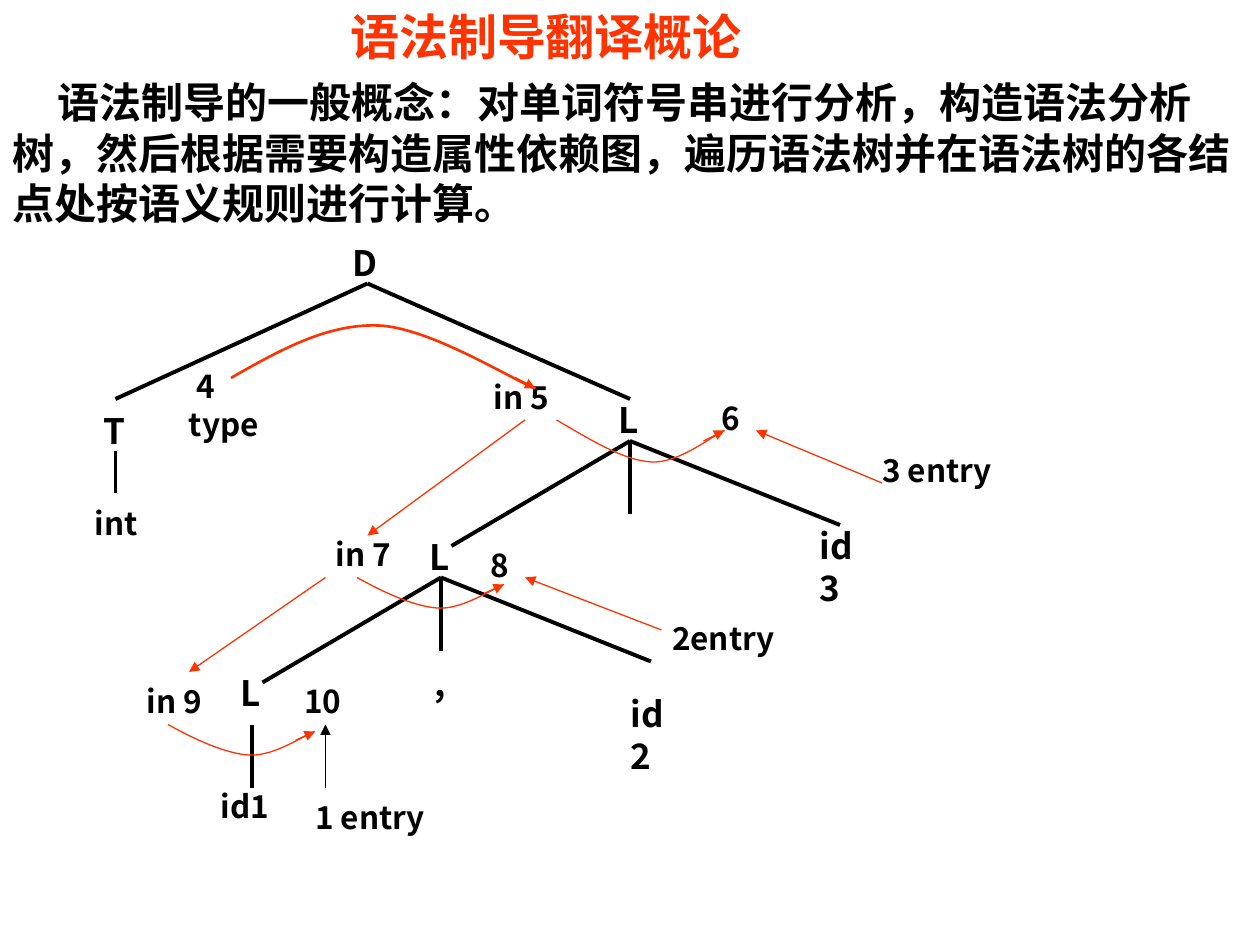
"""Slide on syntax-directed translation: an annotated parse tree with its dependency arrows."""
from lxml.etree import SubElement
from pptx import Presentation
from pptx.dml.color import RGBColor as RGB
from pptx.enum.shapes import MSO_CONNECTOR as LINK
from pptx.enum.text import PP_ALIGN as ALIGN
from pptx.oxml.ns import qn
from pptx.util import Pt

FONT, RED, BLACK = "Noto Sans CJK SC", "FF3300", "000000"


def write(text, x, y, wide, high, size, ink=BLACK, inset=(0, 0)):
    box = slide.shapes.add_textbox(Pt(x), Pt(y), Pt(wide), Pt(high))
    frame = box.text_frame
    frame.word_wrap = True
    frame.margin_left = frame.margin_right = Pt(inset[0])
    frame.margin_top = frame.margin_bottom = Pt(inset[1])
    frame.text = text
    for para in frame.paragraphs:
        font = para.font
        font.name, font.size, font.bold = FONT, Pt(size), True
        font.color.rgb = RGB.from_string(ink)
        SubElement(font._element, qn("a:ea")).set("typeface", FONT)
    return frame.paragraphs[0]


def link(start, end, ink, width, arrow=False):
    line = slide.shapes.add_connector(LINK.STRAIGHT, *map(Pt, start + end))
    line.line.color.rgb = RGB.from_string(ink)
    line.line.width = Pt(width)
    if arrow:
        SubElement(line.line._get_or_add_ln(), qn("a:tailEnd")).set("type", "triangle")
    SubElement(line._element.spPr, qn("a:effectLst"))


deck = Presentation()
deck.slide_width, deck.slide_height = Pt(720), Pt(540)
slide = deck.slides.add_slide(deck.slide_layouts[6])

title = write("语法制导翻译概论", 0, 0, 624, 36, 28, RED, (7.2, 3.6))
title.alignment = ALIGN.CENTER
body = write("语法制导的一般概念：对单词符号串进行分析，构造语法分析树，然后根据需要构造属性依赖图，"
             "遍历语法树并在语法树的各结点处按语义规则进行计算。", 0, 36, 720, 102, 24, BLACK, (7.2, 8))
form = body._p.get_or_add_pPr()
form.set("indent", str(Pt(26)))
form.set("hangingPunct", "0")

tree = [
    ((210, 162), [(66, 228), (360, 228)]),
    ((66, 258), [(66, 282)]),
    ((360, 252), [(258, 312), (480, 300), (360, 294)]),
    ((252, 330), [(150, 390), (372, 378), (252, 372)]),
    ((144, 414), [(144, 450)]),
]
for top, ends in tree:
    for end in ends:
        link(top, end, BLACK, 2.25)

nodes = [
    ("D", 201.6, 138, 16), ("T", 59, 234, 14), ("L", 353.5, 227.5, 14),
    ("L", 245.5, 306, 14), ("L", 137.5, 383.5, 14), (",", 248.4, 378, 8),
    ("id3", 468.5, 299.5, 28), ("id2", 360.5, 395.5, 28),
]
for text, x, y, wide in nodes:
    write(text, x, y, wide, 24, 20)

notes = [
    ("int", 54, 288, 36), ("id1", 126, 450, 36),
    ("in 5", 282, 216, 42), ("in 7", 192, 306, 42), ("in 9", 84, 390, 42),
    ("6", 412.5, 228, 26), ("8", 280, 312, 26), ("10", 174, 390, 30),
    ("3 entry", 504, 258, 84), ("2entry", 384, 354, 84), ("1 entry", 180, 456, 84),
]
for text, x, y, wide in notes:
    write(text, x, y, wide, 21.6, 18)
kind = write("4\ntype", 108, 210, 42, 43.2, 18)
kind._p.get_or_add_pPr().set("indent", str(Pt(4.5)))

arrows = [
    ((504, 276), (432, 246), RED), ((300, 240), (210, 306), RED),
    ((186, 330), (108, 384), RED), ((378, 360), (300, 330), RED),
    ((186, 450), (186, 414), BLACK),
]
for start, end, ink in arrows:
    link(start, end, ink, 0.75, True)

low = [(96, 414), (112, 423), (130, 431), (143, 431.5), (157, 432), (174, 420), (180, 418)]
arcs = [
    ([(132, 216), (160, 200), (187, 185), (216, 186), (245, 187), (291, 216), (306, 222)],
     (294, 216), 1.5),
    ([(318, 240), (337, 251), (356, 263), (372, 264), (388, 265), (407, 249), (414, 246)],
     (402, 252), 0.75),
    (low, (169, 423), 0.75),
    ([(x + 108, y - 84) for x, y in low], (277, 339), 0.75),
]
for knots, neck, width in arcs:
    pen = slide.shapes.build_freeform(*map(Pt, knots[0]))
    pen.add_line_segments([tuple(map(Pt, knot)) for knot in knots[1:]], close=False)
    arc = pen.convert_to_shape()
    path = arc._element.find(".//" + qn("a:path"))
    steps = path.findall(qn("a:lnTo"))
    for i in (0, 3):
        curve = SubElement(path, qn("a:cubicBezTo"))
        for step in steps[i:i + 3]:
            curve.append(step[0])
            path.remove(step)
    arc.shadow.inherit = False
    arc.fill.background()
    arc.line.color.rgb = RGB.from_string(RED)
    arc.line.width = Pt(width)
    link(neck, knots[-1], RED, width, True)

deck.save("out.pptx")
